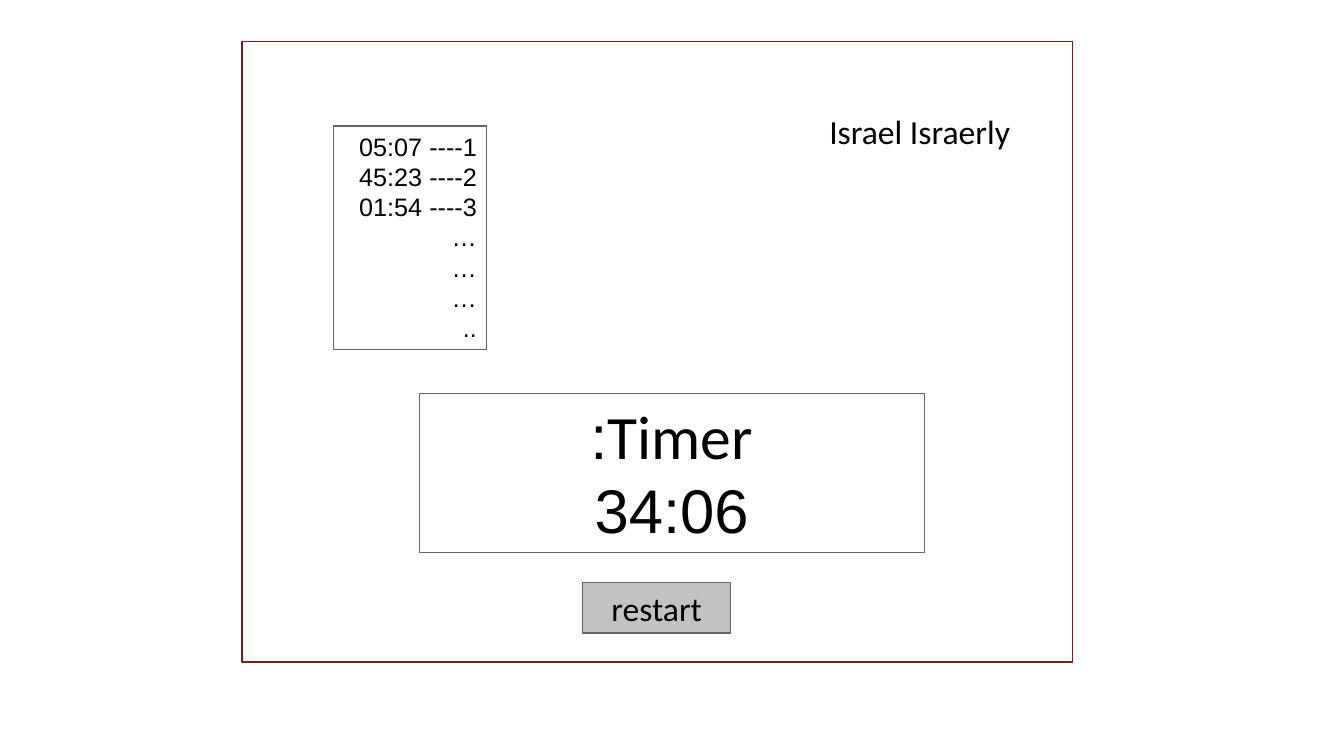
from lxml import etree
from pptx import Presentation
from pptx.dml.color import RGBColor
from pptx.enum import shapes, text
from pptx.oxml.ns import qn
from pptx.util import Pt

HUES = {"white": "FFFFFF", "black": "000000", "rust": "732117",
        "edge": "696464", "grey": "C3C1C1"}
LEFT, MID, RIGHT = text.PP_ALIGN.LEFT, text.PP_ALIGN.CENTER, text.PP_ALIGN.RIGHT


def hue(name):
    return RGBColor.from_string(HUES[name])


def write(shape, words, size, align):
    """Fill a shape with right-to-left text."""
    frame = shape.text_frame
    frame.word_wrap = True
    frame.vertical_anchor = text.MSO_ANCHOR.TOP
    frame.text = words
    for para in frame.paragraphs:
        para.alignment = align
        para._p.get_or_add_pPr().set("rtl", "1")
        for run in para.runs:
            run.font.size = Pt(size)
            run.font.name = "Calibri"
            run.font.color.rgb = hue("black")
            # Digits in right-to-left text use the complex-script font
            etree.SubElement(run.font._element, qn("a:cs"), typeface="Arial")


deck = Presentation()
deck.slide_width, deck.slide_height = Pt(960), Pt(540)
slide = deck.slides.add_slide(deck.slide_layouts[6])

times = ["05:07", "45:23", "01:54"]
laps = [f"{n}---- {time}" for n, time in enumerate(times, 1)]
laps += ["…"] * 3 + [".."]

# Box, fill, line colour, line width, words, text size, alignment
panels = [
    ((172.8, 29.5, 593.3, 443.5), "white", "rust", 1, "", 18, MID),
    ((299.5, 280.8, 360.7, 113.8), None, "edge", 0.75, "Timer:\n34:06", 44, MID),
    ((238.3, 90, 109.4, 159.8), None, "edge", 0.75, "\n".join(laps), 18, RIGHT),
    ((416.2, 416.2, 105.8, 36), "grey", "edge", 0.75, "restart", 24, MID),
]
for box, fill, edge, width, words, size, align in panels:
    panel = slide.shapes.add_shape(shapes.MSO_SHAPE.RECTANGLE, *map(Pt, box))
    panel.shadow.inherit = False
    if fill:
        panel.fill.solid()
        panel.fill.fore_color.rgb = hue(fill)
    else:
        panel.fill.background()
    panel.line.color.rgb = hue(edge)
    panel.line.width = Pt(width)
    if words:
        write(panel, words, size, align)

name = slide.shapes.add_textbox(*map(Pt, (550.8, 75.6, 177.8, 36)))
write(name, "Israel Israerly", 24, RIGHT)

deck.save("out.pptx")
